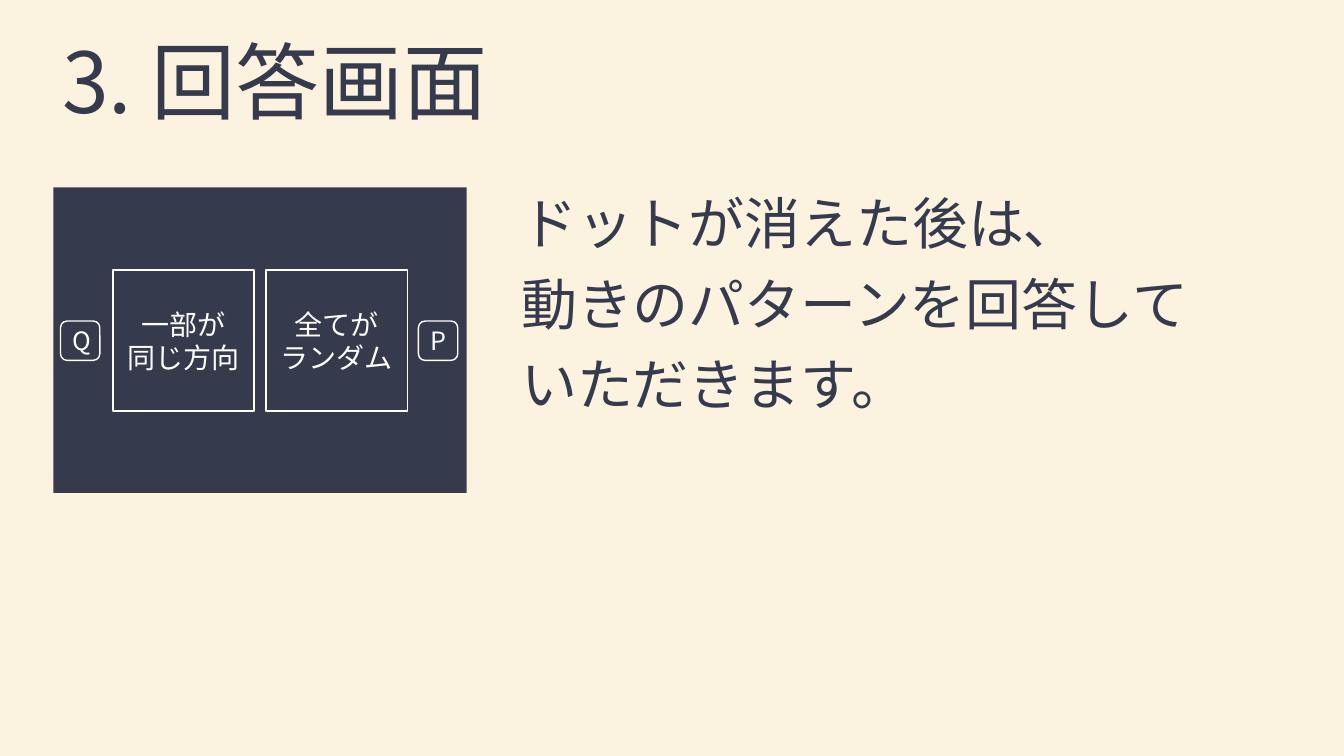
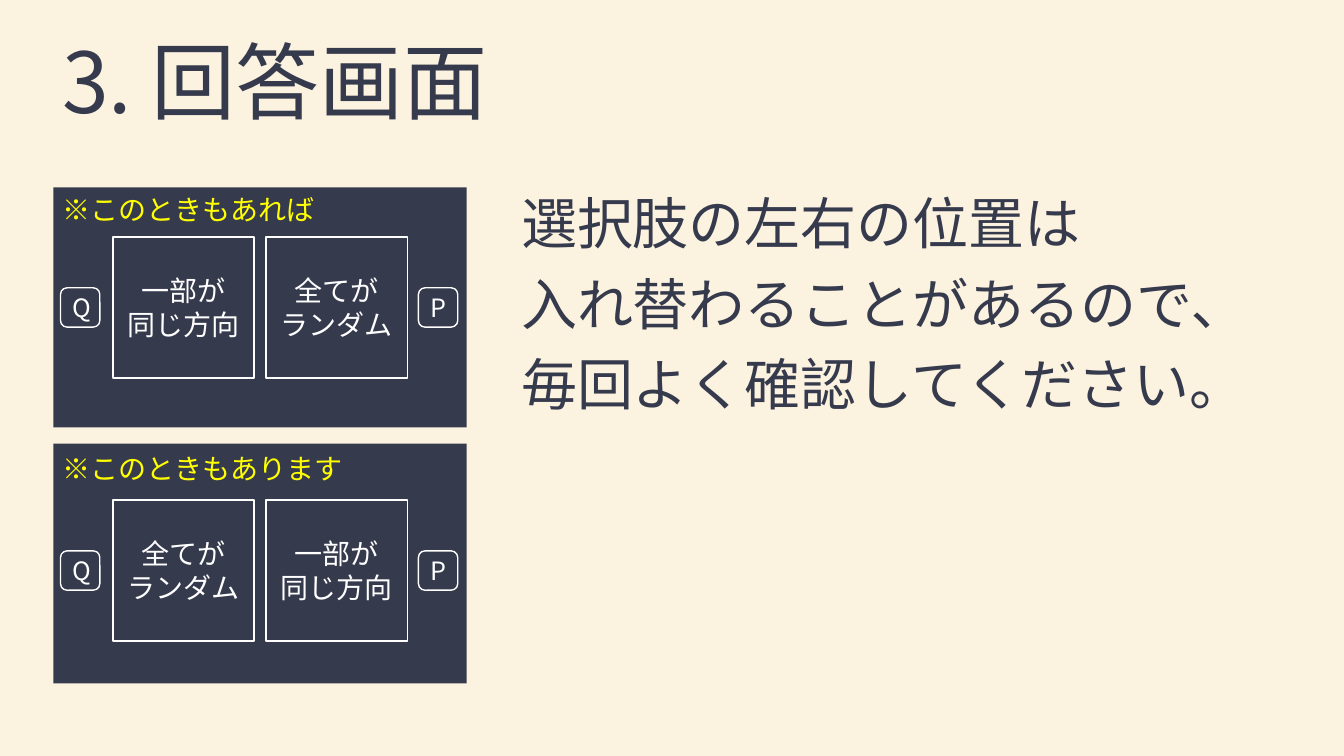
from lxml.etree import SubElement
from pptx import Presentation
from pptx.dml.color import RGBColor
from pptx.enum.shapes import MSO_SHAPE
from pptx.enum.text import MSO_ANCHOR, PP_ALIGN
from pptx.oxml.ns import qn
from pptx.util import Inches, Pt

COLORS = {"cream": "FBF2DF", "navy": "363A4D", "white": "FFFFFF", "yellow": "FFFF00"}
FONT = "Noto Sans CJK JP"

# Columns and sizes, in inches
MARGIN = 0.52
TITLE_TOP, TITLE_WIDTH, TITLE_HEIGHT = 0.32, 12.28, 1.07
BODY_LEFT, BODY_TOP, BODY_WIDTH, BODY_HEIGHT = 5.07, 1.69, 7.74, 5.25
SCREEN_LEFT, SCREEN_WIDTH = 0.53, 4.1
CHOICE_LEFT, CHOICE_PITCH, CHOICE_SIZE = 1.12, 1.52, 1.4
KEY_LEFT, KEY_PITCH, KEY_SIZE = 0.6, 3.55, 0.39
NOTE_HEIGHT = 0.44

PARTLY = ["一部が", "同じ方向"]
RANDOM = ["全てが", "ランダム"]

SLIDES = [
    {
        "body": ["ドットが消えた後は､", "動きのパターンを回答して", "いただきます。"],
        "screens": [
            {"top": 1.86, "height": 3.03, "middle": 3.38, "choices": [PARTLY, RANDOM]},
        ],
    },
    {
        "body": ["選択肢の左右の位置は", "入れ替わることがあるので､", "毎回よく確認してください。"],
        "screens": [
            {"top": 1.86, "height": 2.38, "middle": 3.05, "choices": [PARTLY, RANDOM],
             "note": "※このときもあれば", "note_top": 1.86},
            {"top": 4.4, "height": 2.38, "middle": 5.66, "choices": [RANDOM, PARTLY],
             "note": "※このときもあります", "note_top": 4.43},
        ],
    },
]


def write(shape, paragraphs, size, color, align=PP_ALIGN.LEFT, anchor=MSO_ANCHOR.TOP):
    """Fill a shape with paragraphs, each a list of lines."""
    frame = shape.text_frame
    frame.word_wrap = True
    frame.vertical_anchor = anchor
    for number, lines in enumerate(paragraphs):
        paragraph = frame.add_paragraph() if number else frame.paragraphs[0]
        paragraph.alignment = align
        for position, line in enumerate(lines):
            if position:
                paragraph.add_line_break()
            run = paragraph.add_run()
            run.text = line
            run.font.size = Pt(size)
            run.font.name = FONT
            run.font.color.rgb = RGBColor.from_string(COLORS[color])
            SubElement(run.font._element, qn("a:ea")).set("typeface", FONT)
    return frame.paragraphs[0]


def add_box(slide, kind, left, top, width, height, fill=None, line=None):
    box = slide.shapes.add_shape(kind, Inches(left), Inches(top), Inches(width), Inches(height))
    box.shadow.inherit = False
    if fill:
        box.fill.solid()
        box.fill.fore_color.rgb = RGBColor.from_string(COLORS[fill])
    else:
        box.fill.background()
    if line:
        box.line.color.rgb = RGBColor.from_string(COLORS[line])
        box.line.width = Pt(1)
    else:
        box.line.fill.background()
    return box


prs = Presentation()
prs.slide_width, prs.slide_height = Inches(13.33), Inches(7.5)

# Shared background
background = prs.slide_master.background.fill
background.solid()
background.fore_color.rgb = RGBColor.from_string(COLORS["cream"])

for content in SLIDES:
    slide = prs.slides.add_slide(prs.slide_layouts[6])

    # Title
    title = slide.shapes.add_textbox(
        Inches(MARGIN), Inches(TITLE_TOP), Inches(TITLE_WIDTH), Inches(TITLE_HEIGHT))
    heading = write(title, [["3. 回答画面"]], 60, "navy", anchor=MSO_ANCHOR.MIDDLE)
    heading.line_spacing = 0.9

    # Explanation
    body = slide.shapes.add_textbox(
        Inches(BODY_LEFT), Inches(BODY_TOP), Inches(BODY_WIDTH), Inches(BODY_HEIGHT))
    explanation = write(body, [content["body"]], 40, "navy")
    explanation.line_spacing = 1.2
    explanation.space_before = Pt(10)

    # Answer screens
    for screen in content["screens"]:
        add_box(slide, MSO_SHAPE.RECTANGLE, SCREEN_LEFT, screen["top"],
                SCREEN_WIDTH, screen["height"], fill="navy")

        for column, words in enumerate(screen["choices"]):
            choice = add_box(slide, MSO_SHAPE.RECTANGLE, CHOICE_LEFT + column * CHOICE_PITCH,
                             screen["middle"] - CHOICE_SIZE / 2, CHOICE_SIZE, CHOICE_SIZE,
                             line="white")
            write(choice, [[word] for word in words], 20, "white",
                  PP_ALIGN.CENTER, MSO_ANCHOR.MIDDLE)

        for column, letter in enumerate("QP"):
            key = add_box(slide, MSO_SHAPE.ROUNDED_RECTANGLE, KEY_LEFT + column * KEY_PITCH,
                          screen["middle"] - KEY_SIZE / 2, KEY_SIZE, KEY_SIZE, line="white")
            write(key, [[letter]], 18, "white", PP_ALIGN.CENTER, MSO_ANCHOR.MIDDLE)

        if "note" in screen:
            note = slide.shapes.add_textbox(Inches(MARGIN), Inches(screen["note_top"]),
                                            Inches(SCREEN_WIDTH), Inches(NOTE_HEIGHT))
            write(note, [[screen["note"]]], 20, "yellow")

prs.save("out.pptx")
